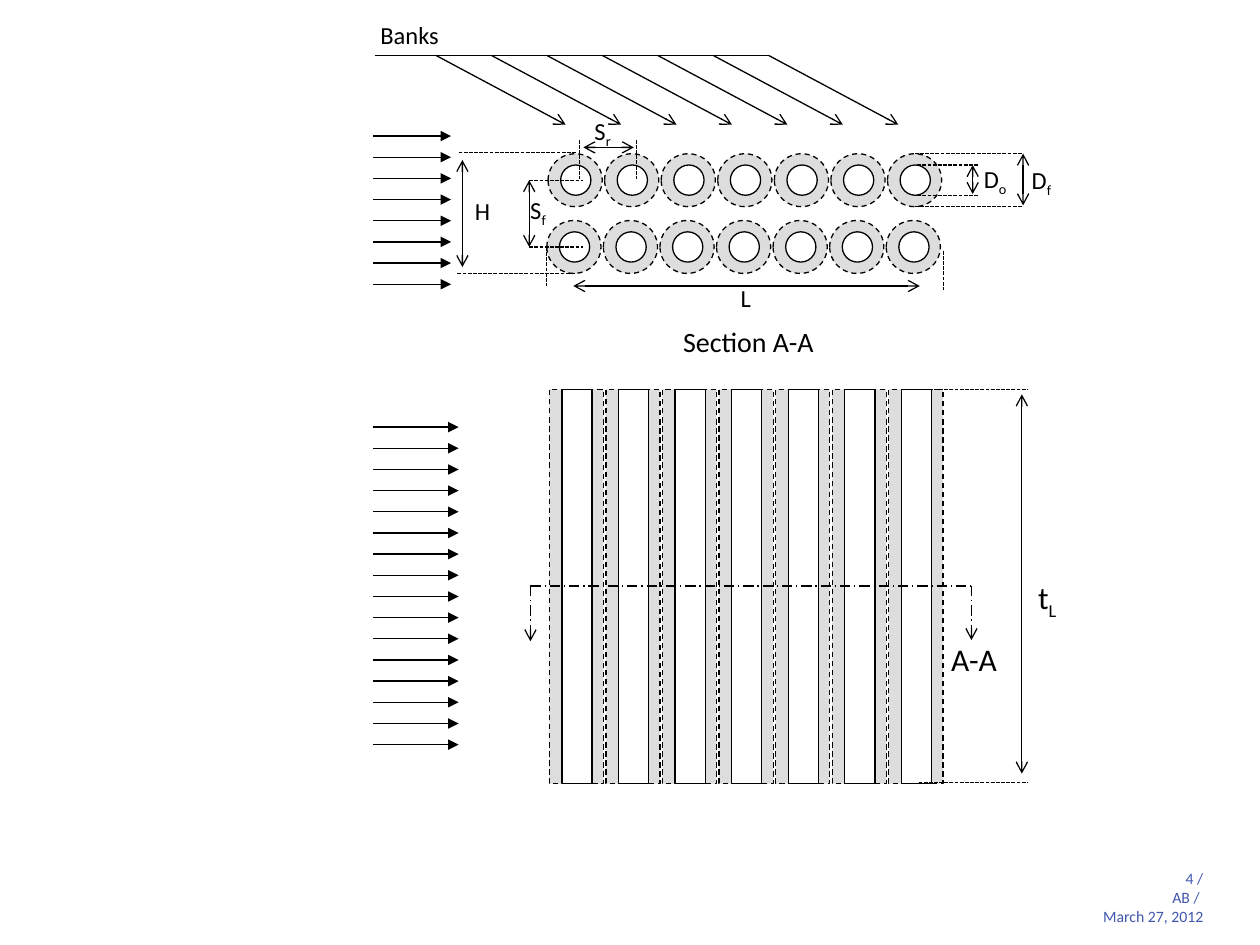
from lxml import etree
from pptx import Presentation
from pptx.dml.color import RGBColor
from pptx.enum.dml import MSO_LINE
from pptx.enum.shapes import MSO_CONNECTOR, MSO_SHAPE
from pptx.enum.text import MSO_AUTO_SIZE, PP_ALIGN
from pptx.oxml.ns import qn
from pptx.util import Inches, Pt

BLACK = RGBColor(0x00, 0x00, 0x00)
WHITE = RGBColor(0xFF, 0xFF, 0xFF)
FIN_GRAY = RGBColor(0xDD, 0xDD, 0xDD)
FOOTER_BLUE = RGBColor(0x41, 0x57, 0xAD)
FONT = "Calibri"
STRAIGHT = MSO_CONNECTOR.STRAIGHT
OVAL, RECTANGLE = MSO_SHAPE.OVAL, MSO_SHAPE.RECTANGLE
FIN_DASH, GUIDE_DASH = MSO_LINE.DASH, MSO_LINE.SQUARE_DOT
SECTION_DASH = MSO_LINE.LONG_DASH_DOT
LEFT, CENTER, RIGHT = PP_ALIGN.LEFT, PP_ALIGN.CENTER, PP_ALIGN.RIGHT

FOOTER = ["4 /", "AB / ", "March 27, 2012"]

# text, subscript, (left, top, width, height), size, alignment
LABELS = [
    ("Section A-A", "", (5.26, 2.53, 1.36, 0.37), 16, CENTER),
    ("D", "o", (7.71, 1.25, 0.44, 0.34), 14, LEFT),
    ("D", "f", (8.09, 1.26, 0.44, 0.34), 14, LEFT),
    ("S", "f", (4.11, 1.5, 0.44, 0.34), 14, LEFT),
    ("S", "r", (4.62, 0.87, 0.44, 0.34), 14, LEFT),
    ("L", "", (5.78, 2.2, 0.44, 0.34), 14, LEFT),
    ("H", "", (3.67, 1.51, 0.44, 0.34), 14, LEFT),
    ("A-A", "", (7.45, 5.03, 0.7, 0.4), 18, LEFT),
    ("t", "L", (8.14, 4.54, 0.44, 0.4), 18, LEFT),
]

# Lines are (x1, y1, x2, y2)
DIMENSIONS = [
    (8.12, 1.22, 8.12, 1.63),  # fin diameter
    (7.72, 1.31, 7.72, 1.54),  # tube diameter
    (4.2, 1.43, 4.2, 1.96),    # row spacing
    (4.63, 1.17, 5.03, 1.17),  # bank spacing
    (4.55, 2.27, 7.3, 2.27),   # length
    (3.67, 1.27, 3.67, 2.12),  # height
    (8.11, 3.13, 8.11, 6.14),  # tube length
]
GUIDES = [
    (7.26, 1.22, 8.12, 1.22), (7.26, 1.64, 8.12, 1.64),
    (7.28, 1.55, 7.76, 1.55), (7.28, 1.31, 7.76, 1.31),
    (4.2, 1.43, 4.63, 1.43), (4.2, 1.96, 4.63, 1.96),
    (4.6, 1.11, 4.6, 1.42), (5.05, 1.11, 5.05, 1.42),
    (4.34, 1.96, 4.34, 2.27), (7.49, 1.99, 7.49, 2.3),
    (3.64, 1.21, 4.57, 1.21), (3.63, 2.17, 4.56, 2.17),
    (7.29, 3.09, 8.15, 3.09), (7.29, 6.21, 8.15, 6.21),
]
SECTION_CUT = [
    ((4.21, 4.65, 7.71, 4.65), None),
    ((7.71, 4.65, 7.71, 5.08), "arrow"),
    ((4.21, 4.65, 4.21, 5.09), "arrow"),
]

BANK_COUNT, BANK_PITCH = 7, 0.449
FIN_WIDTH, FIN_HEIGHT = 0.43, 0.42
TUBE_SIZE, TUBE_INSET = 0.24, 0.1
TUBE_ROWS = [(4.35, 1.22), (4.34, 1.75)]
SIDE_LEFT, SIDE_TOP, SIDE_HEIGHT = 4.36, 3.09, 3.13
# left, top, length, count, pitch
FLOWS = [(2.96, 1.08, 0.62, 8, 0.168), (2.96, 3.39, 0.68, 16, 0.168)]
LEADER_LEFT, LEADER_TOP, LEADER_PITCH = 3.46, 0.44, 0.44
LEADER_RUN, LEADER_DROP = 1.03, 0.55


def add_line(shapes, ends, dash=None, head=None, tail=None):
    line = shapes.add_connector(STRAIGHT, *[Inches(end) for end in ends])
    line.line.color.rgb = BLACK
    line.line.width = Pt(0.75)
    if dash:
        line.line.dash_style = dash
    outline = line.line._get_or_add_ln()
    for tag, kind in (("a:headEnd", head), ("a:tailEnd", tail)):
        if kind:
            etree.SubElement(outline, qn(tag)).set("type", kind)
    etree.SubElement(line._element.spPr, qn("a:effectLst"))


def add_outlined(shapes, kind, place, fill, dash=None):
    shape = shapes.add_shape(kind, *[Inches(value) for value in place])
    shape.shadow.inherit = False
    shape.fill.solid()
    shape.fill.fore_color.rgb = fill
    shape.line.color.rgb = BLACK
    shape.line.width = Pt(0.75)
    if dash:
        shape.line.dash_style = dash


def add_text(shapes, lines, place, size=14, color=BLACK, align=LEFT,
             subscript="", spacing=None, inset=True):
    box = shapes.add_textbox(*[Inches(value) for value in place])
    frame = box.text_frame
    frame.word_wrap = True
    if inset:
        frame.auto_size = MSO_AUTO_SIZE.SHAPE_TO_FIT_TEXT
    else:
        frame.margin_left = frame.margin_right = 0
        frame.margin_top = frame.margin_bottom = 0
    for index, line in enumerate(lines):
        para = frame.add_paragraph() if index else frame.paragraphs[0]
        para.alignment = align
        if spacing:
            para.line_spacing = Pt(spacing)
        for text in filter(None, (line, subscript)):
            span = para.add_run()
            span.text = text
            span.font.name = FONT
            span.font.size = Pt(size)
            span.font.color.rgb = color
        if subscript:
            span.font._element.set("baseline", "-25000")


def add_tube_rows(shapes):
    bundle = shapes.add_group_shape().shapes
    for left, top in TUBE_ROWS:
        for bank in range(BANK_COUNT):
            x = left + bank * BANK_PITCH
            add_outlined(bundle, OVAL, (x, top, FIN_WIDTH, FIN_HEIGHT),
                         FIN_GRAY, FIN_DASH)
            add_outlined(bundle, OVAL, (x + TUBE_INSET, top + 0.09,
                                        TUBE_SIZE, TUBE_SIZE), WHITE)


def add_side_view(shapes):
    for bank in range(BANK_COUNT):
        x = SIDE_LEFT + bank * BANK_PITCH
        add_outlined(shapes, RECTANGLE, (x, SIDE_TOP, FIN_WIDTH, SIDE_HEIGHT),
                     FIN_GRAY, FIN_DASH)
        add_outlined(shapes, RECTANGLE, (x + TUBE_INSET, SIDE_TOP,
                                         TUBE_SIZE, SIDE_HEIGHT), WHITE)


def add_flow(shapes, left, top, length, count, pitch):
    arrows = shapes.add_group_shape().shapes
    for index in range(count):
        y = top + index * pitch
        add_line(arrows, (left, y, left + length, y), tail="triangle")


def add_bank_leaders(shapes):
    leaders = shapes.add_group_shape().shapes
    add_text(leaders, ["Banks"], (2.92, 0.11, 0.89, 0.34))
    last = LEADER_LEFT + (BANK_COUNT - 1) * LEADER_PITCH
    add_line(leaders, (2.98, LEADER_TOP, last, LEADER_TOP))
    for bank in range(BANK_COUNT):
        x = LEADER_LEFT + bank * LEADER_PITCH
        add_line(leaders, (x, LEADER_TOP, x + LEADER_RUN,
                           LEADER_TOP + LEADER_DROP), tail="arrow")


def main():
    deck = Presentation()
    deck.slide_width, deck.slide_height = Inches(10), Inches(7.5)
    page = deck.slides.add_slide(deck.slide_layouts[6])
    shapes = page.shapes

    add_text(shapes, FOOTER, (5.15, 6.89, 4.4, 0.44), size=9,
             color=FOOTER_BLUE, align=RIGHT, spacing=11, inset=False)
    add_tube_rows(shapes)
    add_side_view(shapes)
    for flow in FLOWS:
        add_flow(shapes, *flow)
    add_bank_leaders(shapes)
    for ends in GUIDES:
        add_line(shapes, ends, dash=GUIDE_DASH)
    for ends in DIMENSIONS:
        add_line(shapes, ends, head="arrow", tail="arrow")
    for ends, tail in SECTION_CUT:
        add_line(shapes, ends, dash=SECTION_DASH, tail=tail)
    for text, subscript, place, size, align in LABELS:
        add_text(shapes, [text], place, size=size, align=align,
                 subscript=subscript)
    deck.save("out.pptx")


if __name__ == "__main__":
    main()
